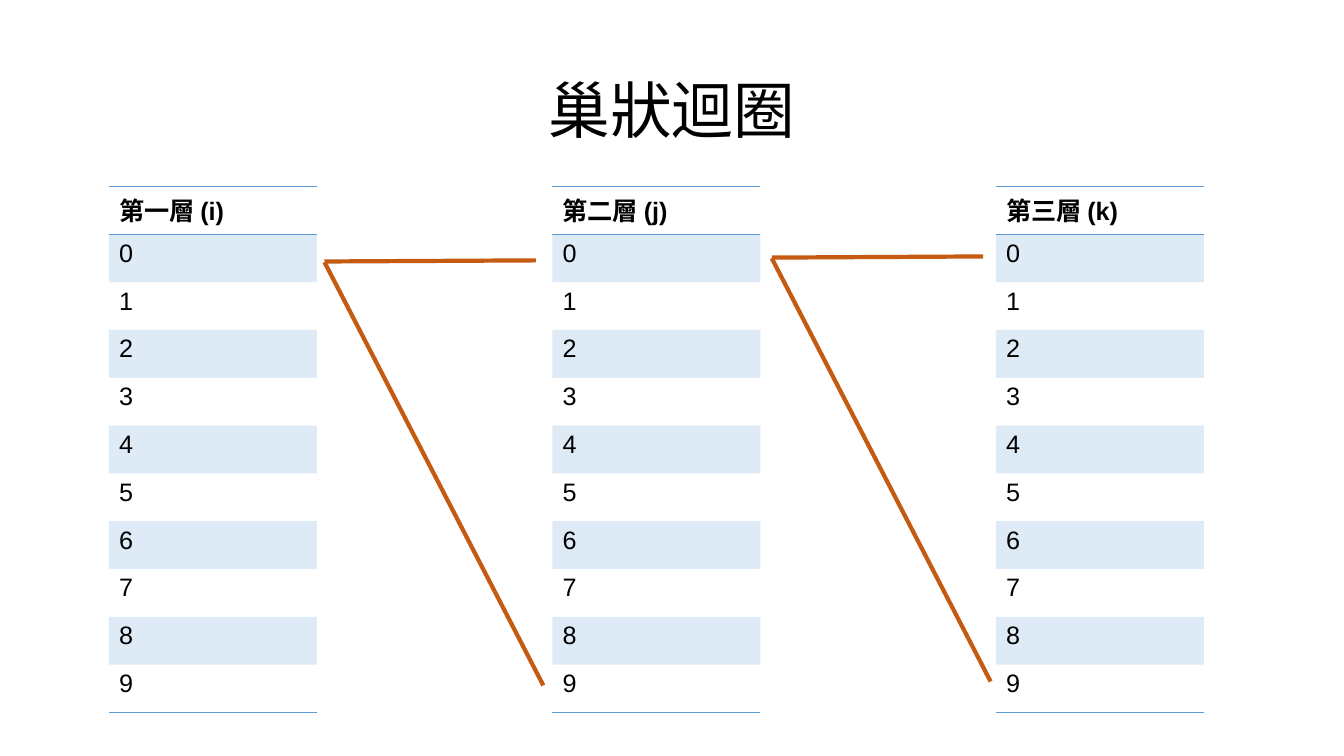
from lxml.etree import SubElement
from pptx import Presentation
from pptx.dml.color import RGBColor
from pptx.enum.shapes import MSO_CONNECTOR
from pptx.enum.text import MSO_ANCHOR, MSO_AUTO_SIZE, PP_ALIGN
from pptx.oxml.ns import qn
from pptx.util import Pt

COLORS = {"text": "000000", "table": "5B9BD5", "link": "C55A11"}
FONT = "Arial"
NO_GRID_STYLE = "{2D5ABB26-0587-4C30-8999-92F81FD0307C}"
HEADERS = ["第一層 (i)", "第二層 (j)", "第三層 (k)"]
DIGITS = [str(n) for n in range(10)]
TABLE_LEFT, TABLE_TOP, TABLE_STEP = 77.8, 133.2, 316.8
TABLE_WIDTH, ROW_HEIGHT = 148.5, 34.17
LINK_LEFT, LINK_TOP = 231.8, 186.8
LINK_STEP_X, LINK_STEP_Y = 319.5, -2.8


class SlideBuilder:
    """Draw styled elements on one slide, with lengths in points."""

    def __init__(self, s):
        self.s = s

    def style(self, p, size, bold=False):
        p.font.name = FONT
        p.font.size = Pt(size)
        p.font.bold = bold
        p.font.color.rgb = RGBColor.from_string(COLORS["text"])

    def title(self, text, left, top, width, height):
        sp = self.s.shapes.title
        sp.left, sp.top, sp.width, sp.height = Pt(left), Pt(top), Pt(width), Pt(height)
        tf = sp.text_frame
        tf.text = text
        tf.auto_size = MSO_AUTO_SIZE.NONE
        tf.vertical_anchor = MSO_ANCHOR.MIDDLE
        p = tf.paragraphs[0]
        p.alignment = PP_ALIGN.CENTER
        p.line_spacing = 0.9
        self.style(p, 44)

    def border(self, cell, side):
        ln = SubElement(cell._tc.get_or_add_tcPr(), qn(f"a:ln{side}"), w=str(Pt(1)))
        fill = SubElement(ln, qn("a:solidFill"))
        SubElement(fill, qn("a:srgbClr"), val=COLORS["table"])

    def tint(self, cell):
        cell.fill.solid()
        cell.fill.fore_color.rgb = RGBColor.from_string(COLORS["table"])
        color = cell._tc.tcPr.find(".//" + qn("a:solidFill") + "/" + qn("a:srgbClr"))
        SubElement(color, qn("a:alpha"), val="20000")

    def table(self, rows, left, top, width, row_height):
        height = Pt(row_height * len(rows))
        frame = self.s.shapes.add_table(len(rows), 1, Pt(left), Pt(top), Pt(width), height)
        table = frame.table
        table.first_row = table.horz_banding = False
        table._tbl.tblPr.find(qn("a:tableStyleId")).text = NO_GRID_STYLE
        for i, text in enumerate(rows):
            table.rows[i].height = Pt(row_height)
            cell = table.cell(i, 0)
            cell.text = text
            self.style(cell.text_frame.paragraphs[0], 18, bold=i == 0)
            if i == 0:
                self.border(cell, "T")
            if i in (0, len(rows) - 1):
                self.border(cell, "B")
            if i % 2:
                self.tint(cell)
            else:
                cell.fill.background()

    def line(self, x1, y1, x2, y2):
        sp = self.s.shapes.add_connector(
            MSO_CONNECTOR.STRAIGHT, Pt(x1), Pt(y1), Pt(x2), Pt(y2))
        sp.line.color.rgb = RGBColor.from_string(COLORS["link"])
        sp.line.width = Pt(3)
        SubElement(sp._element.spPr, qn("a:effectLst"))


def main():
    prs = Presentation()
    prs.slide_width, prs.slide_height = Pt(960), Pt(540)
    builder = SlideBuilder(prs.slides.add_slide(prs.slide_layouts[5]))
    builder.title("巢狀迴圈", 66, 28.8, 828, 104.4)
    for i, header in enumerate(HEADERS):
        builder.table([header] + DIGITS, TABLE_LEFT + i * TABLE_STEP, TABLE_TOP,
                      TABLE_WIDTH, ROW_HEIGHT)
    for i in range(len(HEADERS) - 1):
        x, y = LINK_LEFT + i * LINK_STEP_X, LINK_TOP + i * LINK_STEP_Y
        builder.line(x, y, x + 151, y - 0.8)
        builder.line(x, y + 0.5, x + 156.3, y + 302.8)
    prs.save("out.pptx")


if __name__ == "__main__":
    main()
